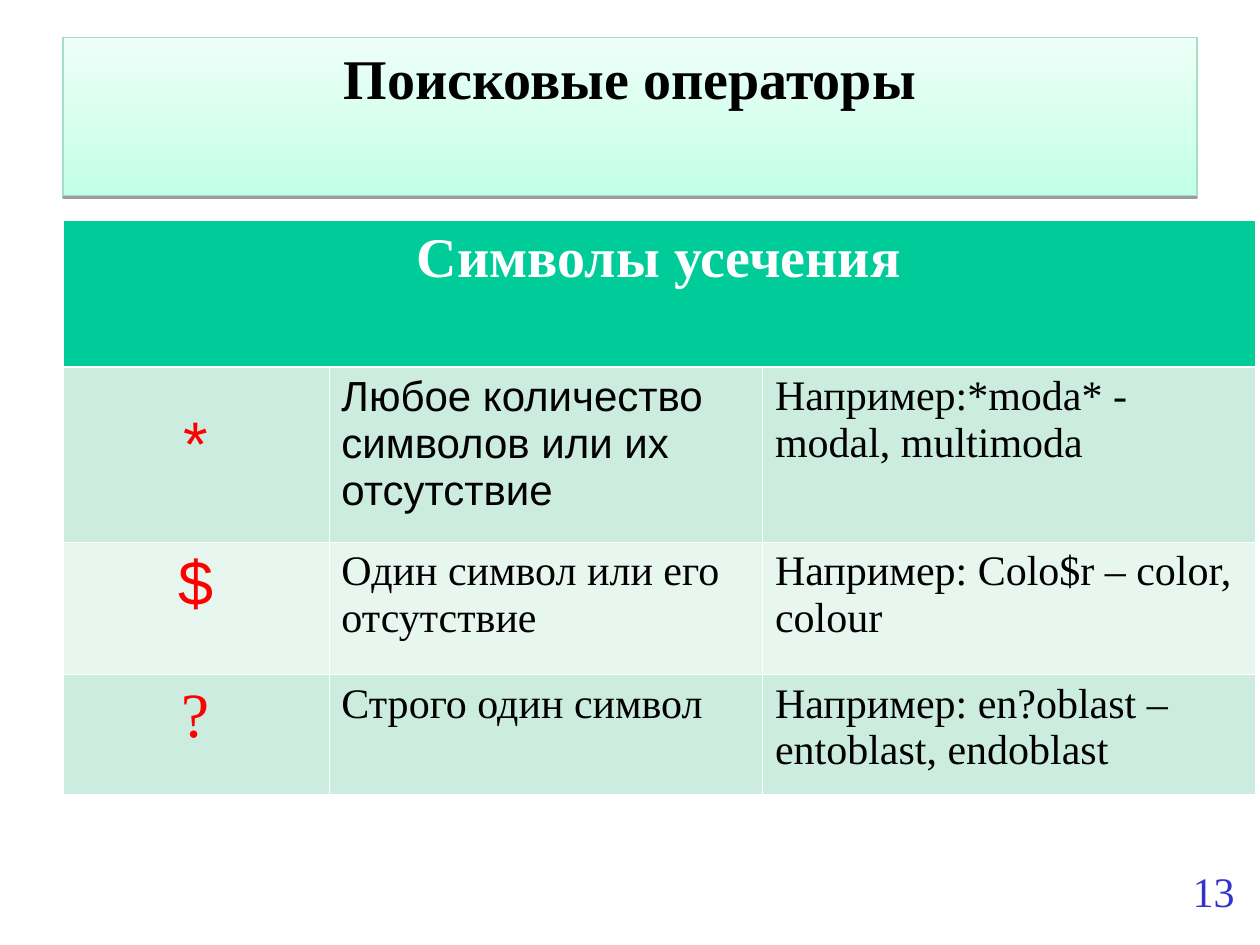
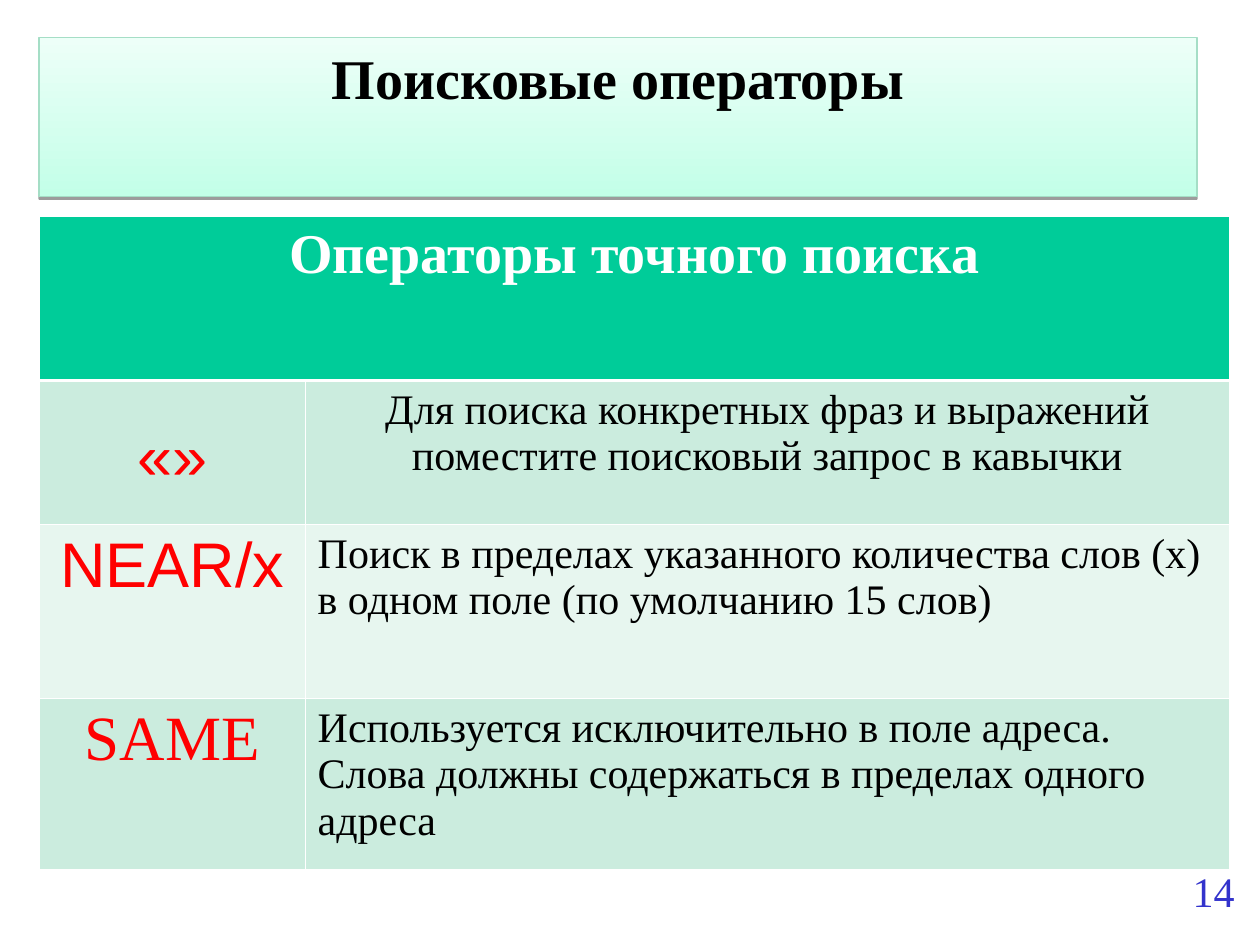
import pptx
import pptx.dml.color
import pptx.enum.shapes
import pptx.enum.text
import pptx.oxml
import pptx.oxml.ns
import pptx.util
from lxml import etree

Cm = pptx.util.Cm
Pt = pptx.util.Pt
ALIGN = pptx.enum.text.PP_ALIGN
SERIF = "Times New Roman"
SANS = "Arial"
BLACK, WHITE, RED, BLUE = "000000", "FFFFFF", "FF0000", "3333CC"
HEADER_FILL = "00CC99"
BAND_FILLS = ("CBECDE", "E7F6EF")
TITLE_GRADIENT = ("C3FFE8", "EDFFF8")
TITLE_LINE = "A5DEC6"
TITLE = "Поисковые операторы"
FIRST_NUMBER = 13
THIN, THICK = 0.45, 1.47
LOWERED_MARGIN = 0.85

SLIDES = [
    {
        "title_box": (1.27, 0.76, 22.86, 3.18),
        "table_origin": (1.27, 4.45),
        "columns": (5.36, 8.74, 9.93),
        "heights": (2.95, 3.53, 2.67, 2.41),
        "header": "Символы усечения",
        "rows": [
            [("*", SANS), ("Любое количество символов или их отсутствие", SANS),
             ("Например:*moda* - modal, multimoda", SERIF)],
            [("$", SANS), ("Один символ или его отсутствие", SERIF),
             ("Например: Colo$r – color, colour", SERIF)],
            [("?", SERIF), ("Строго один символ", SERIF),
             ("Например: en?oblast – entoblast, endoblast", SERIF)],
        ],
    },
    {
        "title_box": (0.79, 0.76, 23.34, 3.2),
        "table_origin": (0.79, 4.37),
        "columns": (5.36, 18.64),
        "heights": (3.3, 2.9, 3.51, 3.45),
        "header": "Операторы точного поиска",
        "rows": [
            [("«»", SANS),
             ("Для поиска конкретных фраз и выражений поместите поисковый запрос в кавычки",
              SERIF, ALIGN.CENTER)],
            [("NEAR/x", SANS),
             ("Поиск в пределах указанного количества слов (х) в одном поле "
              "(по умолчанию 15 слов)", SERIF)],
            [("SAME", SERIF),
             ("Используется исключительно в поле адреса. Слова должны содержаться "
              "в пределах одного адреса", SERIF)],
        ],
    },
]


def rgb(value):
    """Turn a hex string into a colour."""
    return pptx.dml.color.RGBColor.from_string(value)


def write(text_frame, text, size, font, color, align, bold=False):
    """Put one styled paragraph into a text frame."""
    text_frame.word_wrap = True
    paragraph = text_frame.paragraphs[0]
    paragraph.text = text
    paragraph.alignment = align
    paragraph.font.size = Pt(size)
    paragraph.font.name = font
    paragraph.font.bold = bold
    paragraph.font.color.rgb = rgb(color)
    return paragraph


def add_title(slide, box):
    """Draw the gradient title band with its soft lower shadow."""
    shape = slide.shapes.add_shape(
        pptx.enum.shapes.MSO_SHAPE.RECTANGLE, *map(Cm, box))
    shape.fill.gradient()
    shape.fill.gradient_angle = 90
    for stop, color, position in zip(shape.fill.gradient_stops, TITLE_GRADIENT, (0, 1)):
        stop.color.rgb = rgb(color)
        stop.position = position
    shape.line.color.rgb = rgb(TITLE_LINE)
    shape.line.width = Pt(0.75)
    shape.shadow.inherit = False
    effects = shape._element.spPr.find(pptx.oxml.ns.qn("a:effectLst"))
    effects.append(pptx.oxml.parse_xml(
        f'<a:outerShdw {pptx.oxml.ns.nsdecls("a")} blurRad="0" dist="{Pt(1.6)}" '
        f'dir="5400000" rotWithShape="0"><a:srgbClr val="{BLACK}">'
        '<a:alpha val="38000"/></a:srgbClr></a:outerShdw>'))
    shape.text_frame.vertical_anchor = pptx.enum.text.MSO_ANCHOR.TOP
    write(shape.text_frame, TITLE, 32, SERIF, BLACK, ALIGN.CENTER, bold=True)


def style_cell(cell, fill, top=THIN, bottom=THIN):
    """Give a cell white borders and a solid fill."""
    properties = cell._tc.get_or_add_tcPr()
    for side, width in (("L", THIN), ("R", THIN), ("T", top), ("B", bottom)):
        line = etree.SubElement(
            properties, pptx.oxml.ns.qn(f"a:ln{side}"), w=str(Pt(width)))
        solid = etree.SubElement(line, pptx.oxml.ns.qn("a:solidFill"))
        etree.SubElement(solid, pptx.oxml.ns.qn("a:srgbClr"), val=WHITE)
    cell.fill.solid()
    cell.fill.fore_color.rgb = rgb(fill)


def add_operator_table(slide, origin, columns, heights, header, rows):
    """Build the operator table under a merged header row."""
    frame = slide.shapes.add_table(
        len(heights), len(columns), *map(Cm, (*origin, sum(columns), sum(heights))))
    table = frame.table
    table.first_row = table.horz_banding = False
    for column, width in zip(table.columns, columns):
        column.width = Cm(width)
    for row, height in zip(table.rows, heights):
        row.height = Cm(height)

    for cell in table.rows[0].cells:
        style_cell(cell, HEADER_FILL, bottom=THICK)
    table.cell(0, 0).merge(table.cell(0, len(columns) - 1))
    write(table.cell(0, 0).text_frame, header, 32, SERIF, WHITE, ALIGN.CENTER, bold=True)

    for row_index, entries in enumerate(rows, start=1):
        fill = BAND_FILLS[(row_index - 1) % 2]
        for column_index, (text, font, *align) in enumerate(entries):
            cell = table.cell(row_index, column_index)
            style_cell(cell, fill, top=THICK if row_index == 1 else THIN)
            if column_index == 0:
                write(cell.text_frame, text, 36, font, RED, ALIGN.CENTER)
            else:
                write(cell.text_frame, text, 24, font, BLACK, align[0] if align else ALIGN.LEFT)
    table.cell(1, 0).margin_top = Cm(LOWERED_MARGIN)


def add_page_number(slide, number):
    """Write the page number in the lower right corner."""
    text_box = slide.shapes.add_textbox(*map(Cm, (23.04, 17.4, 2.1, 1.22)))
    paragraph = write(text_box.text_frame, str(number), 24, SERIF, BLUE, ALIGN.RIGHT)
    paragraph.line_spacing = 0.95


def add_operator_slide(presentation, number, content):
    """Add one slide with its number, table and title."""
    slide = presentation.slides.add_slide(presentation.slide_layouts[6])
    add_page_number(slide, number)
    add_operator_table(slide, content["table_origin"], content["columns"],
                       content["heights"], content["header"], content["rows"])
    add_title(slide, content["title_box"])


def main():
    """Build and save the presentation."""
    presentation = pptx.Presentation()
    presentation.slide_width = Cm(25.4)
    presentation.slide_height = Cm(19.05)
    for number, content in enumerate(SLIDES, start=FIRST_NUMBER):
        add_operator_slide(presentation, number, content)
    presentation.save("out.pptx")


if __name__ == "__main__":
    main()
